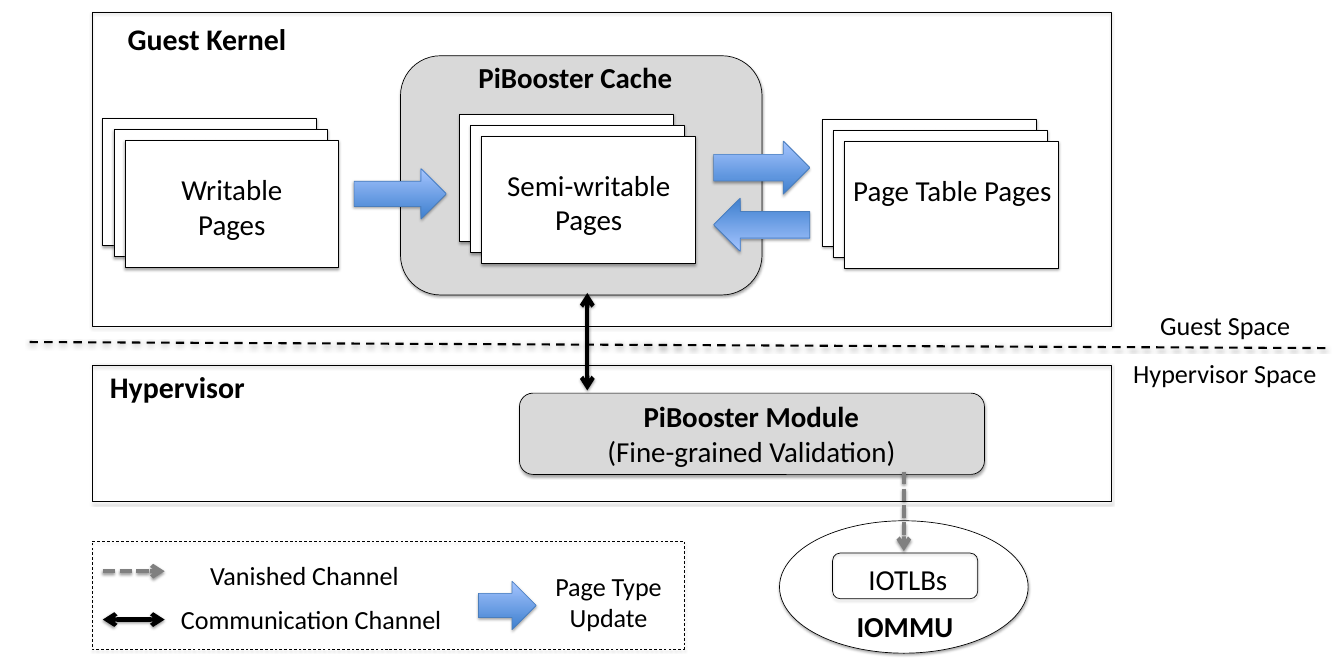
from lxml import etree
from pptx import Presentation
from pptx.dml.color import RGBColor
from pptx.enum.dml import MSO_LINE
from pptx.enum.shapes import MSO_CONNECTOR, MSO_SHAPE
from pptx.enum.text import MSO_AUTO_SIZE, PP_ALIGN
from pptx.oxml.ns import qn
from pptx.util import Inches, Pt

RECTANGLE = MSO_SHAPE.RECTANGLE
ROUNDED = MSO_SHAPE.ROUNDED_RECTANGLE
OVAL = MSO_SHAPE.OVAL
RIGHT_ARROW = MSO_SHAPE.RIGHT_ARROW
STRAIGHT = MSO_CONNECTOR.STRAIGHT
DASH = MSO_LINE.DASH
SQUARE_DASH = MSO_LINE.SQUARE_DOT
CENTER = PP_ALIGN.CENTER
GROW = MSO_AUTO_SIZE.SHAPE_TO_FIT_TEXT

COLORS = {
    "black": "000000",
    "white": "FFFFFF",
    "panel": "D9D9D9",
    "vanished": "808080",
    "arrow_line": "4B7EBC",
    "arrow_bottom": "3F80CE",
    "arrow_top": "A4C4FF",
}
FONT = "Calibri"

presentation = Presentation()
presentation.slide_width = Inches(20)
presentation.slide_height = Inches(10)
slide = presentation.slides.add_slide(presentation.slide_layouts[6])
COLUMN = presentation.slide_width / 200
ROW = presentation.slide_height / 100


def place(left, top, width, height):
    return [int(left * COLUMN), int(top * ROW), int(width * COLUMN), int(height * ROW)]


def outline(shape, color, weight, dash, opacity):
    shape.line.color.rgb = RGBColor.from_string(COLORS[color])
    shape.line.width = Pt(weight)
    if dash:
        shape.line.dash_style = dash
    effects = etree.SubElement(shape._element.spPr, qn("a:effectLst"))
    shadow = etree.SubElement(
        effects, qn("a:outerShdw"), blurRad=str(Pt(3.1)), dist=str(Pt(1.7)),
        dir="5400000", rotWithShape="0")
    shade = etree.SubElement(shadow, qn("a:srgbClr"), val=COLORS["black"])
    etree.SubElement(shade, qn("a:alpha"), val=str(opacity * 1000))


boxes = [
    (RECTANGLE, 13.7, 1.8, 151.7, 46.8, None, None),
    (RECTANGLE, 13.7, 54.4, 151.7, 20.2, None, None),
    (ROUNDED, 59.6, 8.3, 53.8, 35.6, "panel", None),
    (ROUNDED, 77.3, 58.5, 69.2, 12.1, "panel", None),
    (OVAL, 116, 77.5, 37, 19.7, "white", None),
    (ROUNDED, 123.9, 82.3, 21.6, 6.8, None, None),
    (RECTANGLE, 13.7, 80.5, 88.1, 16.1, None, DASH),
]
PAGE_WIDTH, PAGE_HEIGHT, PAGE_STEP, PAGES = 31.8, 18.9, 1.65, 3
for stack_left, stack_top in [(15.3, 17.6), (68.4, 17), (122.4, 17.7)]:
    for page in range(PAGES):
        shift = page * PAGE_STEP
        boxes.append((RECTANGLE, stack_left + shift, stack_top + shift,
                      PAGE_WIDTH, PAGE_HEIGHT, "white", None))

for kind, left, top, width, height, fill, dash in boxes:
    box = slide.shapes.add_shape(kind, *place(left, top, width, height))
    if fill:
        box.fill.solid()
        box.fill.fore_color.rgb = RGBColor.from_string(COLORS[fill])
    else:
        box.fill.background()
    outline(box, "black", 0.75, dash, 35)

update_arrows = [
    (52.7, 25.1, 13.7, 7.5, 0),
    (71.2, 86.5, 8.6, 7.2, 0),
    (106.2, 21, 14.3, 7.9, 0),
    (106.2, 29.5, 14.3, 7.9, 180),
]
for left, top, width, height, rotation in update_arrows:
    arrow = slide.shapes.add_shape(RIGHT_ARROW, *place(left, top, width, height))
    arrow.rotation = rotation
    arrow.fill.gradient()
    arrow.fill.gradient_angle = 90
    for stop, color in zip(arrow.fill.gradient_stops, ["arrow_bottom", "arrow_top"]):
        stop.color.rgb = RGBColor.from_string(COLORS[color])
    outline(arrow, "arrow_line", 0.75, None, 35)

channels = [
    (87.4, 43.6, 87.4, 58.1, "black", 4.5, None, ["headEnd", "tailEnd"]),
    (4.4, 50.9, 197.6, 51.8, "black", 2.25, DASH, []),
    (134.5, 70.2, 134.5, 82, "vanished", 4.5, SQUARE_DASH, ["tailEnd"]),
    (15.3, 85, 24.5, 85, "vanished", 4.5, SQUARE_DASH, ["tailEnd"]),
    (15.3, 92.2, 24.5, 92.2, "black", 4.5, None, ["headEnd", "tailEnd"]),
]
for start_x, start_y, end_x, end_y, color, weight, dash, ends in channels:
    channel = slide.shapes.add_connector(STRAIGHT, *place(start_x, start_y, end_x, end_y))
    outline(channel, color, weight, dash, 38)
    for end in ends:
        etree.SubElement(channel.line._ln, qn(f"a:{end}"), type="arrow")

labels = [
    (13.7, 2.6, 34.2, 6.4, 32, [("Guest Kernel", True)]),
    (14, 54.4, 24.8, 6.4, 32, [("Hypervisor", True)]),
    (57.9, 8.4, 55.4, 6.2, 31, [("PiBooster Cache", True)]),
    (18.6, 25.1, 31.8, 11.4, 31, [("Writable", False), ("Pages", False)]),
    (71.7, 24.4, 31.8, 11.4, 31, [("Semi-writable Pages", False)]),
    (125.8, 25.2, 31.8, 11.4, 31, [("Page Table Pages", False)]),
    (169.4, 45.6, 25.8, 5.7, 28, [("Guest Space", False)]),
    (167, 52.7, 30.5, 5.7, 28, [("Hypervisor Space", False)]),
    (77.3, 58.8, 69, 11.4, 31,
     [("PiBooster Module", True), ("(Fine-grained Validation)", False)]),
    (124.3, 83, 21.6, 6.2, 31, [("IOTLBs", False)]),
    (119.8, 90.1, 29.7, 6.2, 31, [("IOMMU", True)]),
    (24.8, 82.8, 41, 5.7, 28, [("Vanished Channel", False)]),
    (23.5, 89.3, 45.6, 5.7, 28, [("Communication Channel", False)]),
    (79.8, 84.4, 21.5, 10.4, 28, [("Page Type", False), ("Update", False)]),
]
for left, top, width, height, size, lines in labels:
    frame = slide.shapes.add_textbox(*place(left, top, width, height)).text_frame
    frame.word_wrap = True
    frame.auto_size = GROW
    for index, (text, bold) in enumerate(lines):
        paragraph = frame.add_paragraph() if index else frame.paragraphs[0]
        paragraph.alignment = CENTER
        run = paragraph.add_run()
        run.text = text
        run.font.name = FONT
        run.font.size = Pt(size)
        run.font.bold = bold
        run.font.color.rgb = RGBColor.from_string(COLORS["black"])

presentation.save("out.pptx")
